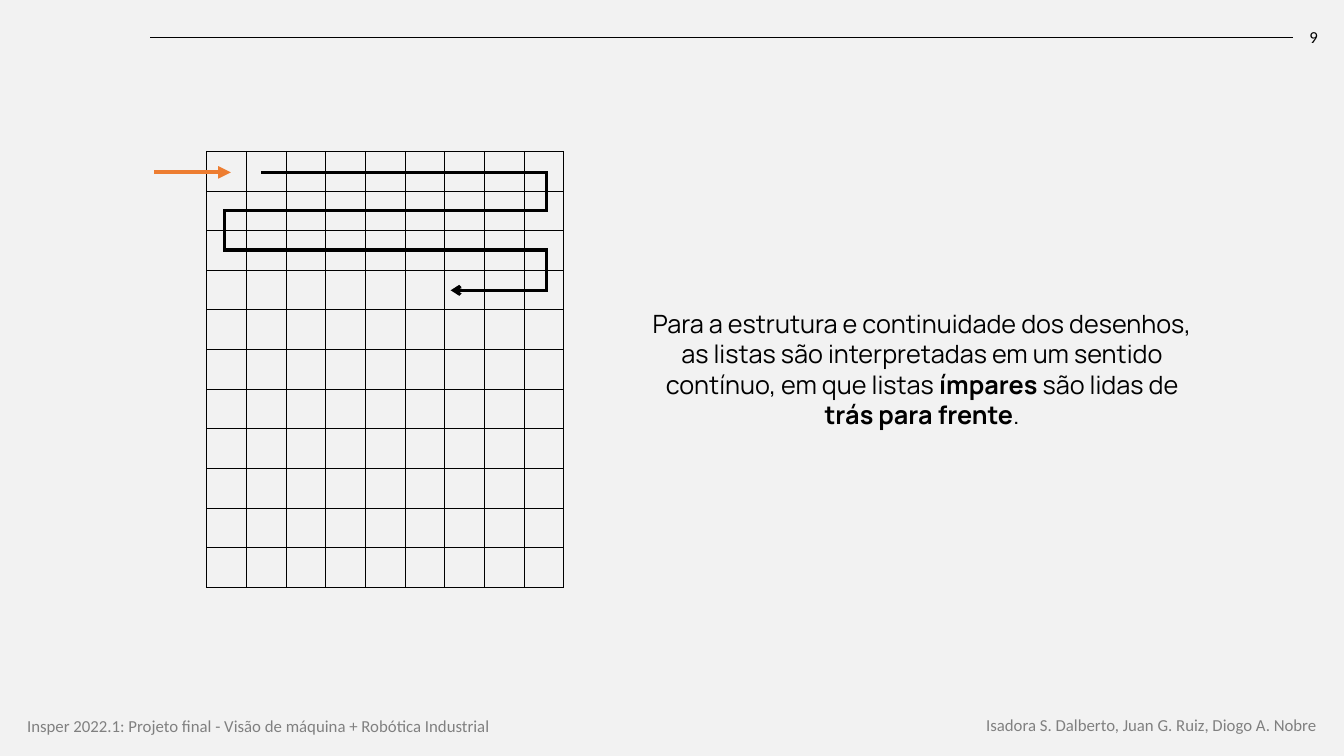
from itertools import pairwise

from lxml.etree import SubElement
from pptx import Presentation
from pptx.dml.color import RGBColor
from pptx.enum.shapes import MSO_CONNECTOR
from pptx.enum.text import MSO_ANCHOR as Anchor, MSO_AUTO_SIZE as AutoSize, PP_ALIGN as Align
from pptx.oxml.ns import qn
from pptx.util import Inches, Pt

BLACK, GRAY, ORANGE, BACKGROUND = "000000", "808080", "ED7D31", "F2F2F2"
COLUMNS, ROWS = 9, 11
READING_PATH = [
    (2.6, 1.71), (5.42, 1.71), (5.42, 2.09), (2.23, 2.09),
    (2.23, 2.48), (5.42, 2.48), (5.42, 2.88), (4.47, 2.88),
]


def color(hex_code):
    """Turn a hex string into a colour."""
    return RGBColor.from_string(hex_code)


def add_line(slide, start, end, hex_code, width, arrow=None):
    """Draw a straight line, with an optional arrowhead at its end."""
    points = [Inches(value) for value in (*start, *end)]
    line = slide.shapes.add_connector(MSO_CONNECTOR.STRAIGHT, *points)
    line.line.color.rgb = color(hex_code)
    line.line.width = Pt(width)
    outline = line.line._get_or_add_ln()
    if arrow:
        SubElement(outline, qn("a:tailEnd"), type=arrow)
    SubElement(line._element.spPr, qn("a:effectLst"))
    return outline


def add_text(slide, box, runs, size, font, hex_code, align=Align.LEFT, anchor=Anchor.TOP):
    """Write one paragraph from (text, bold) runs."""
    frame = slide.shapes.add_textbox(*[Inches(value) for value in box]).text_frame
    frame.word_wrap = True
    frame.auto_size = AutoSize.NONE
    frame.vertical_anchor = anchor
    paragraph = frame.paragraphs[0]
    paragraph.alignment = align
    for text, bold in runs:
        run = paragraph.add_run()
        run.text = text
        run.font.name = font
        run.font.size = Pt(size)
        run.font.bold = bold
        run.font.color.rgb = color(hex_code)


def add_border(cell):
    """Give a cell a thin black border on every side."""
    properties = cell._tc.get_or_add_tcPr()
    for position, side in enumerate(("a:lnL", "a:lnR", "a:lnT", "a:lnB")):
        border = properties.makeelement(qn(side), {"w": str(Pt(0.5))})
        properties.insert(position, border)
        fill = SubElement(border, qn("a:solidFill"))
        SubElement(fill, qn("a:srgbClr"), val=BLACK)


def add_grid(slide):
    """Draw the empty drawing grid."""
    area = [Inches(value) for value in (2.05, 1.5, 3.54, 4.33)]
    grid = slide.shapes.add_table(ROWS, COLUMNS, *area).table
    grid.first_row = False
    grid.horz_banding = False
    for cell in grid.iter_cells():
        cell.margin_top = cell.margin_bottom = 0
        cell.fill.background()
        add_border(cell)


def add_reading_path(slide):
    """Trace the back-and-forth reading order over the grid."""
    add_line(slide, (1.53, 1.71), (2.29, 1.71), ORANGE, 3, "triangle")
    for start, end in pairwise(READING_PATH):
        arrow = "arrow" if end == READING_PATH[-1] else None
        outline = add_line(slide, start, end, BLACK, 2.25, arrow)
        outline.set("cap", "sq")


def add_frame(slide):
    """Add the top rule, the footers and the page number."""
    add_line(slide, (1.49, 0.37), (12.82, 0.37), BLACK, 0.5)
    project = "Insper 2022.1: Projeto final - Visão de máquina + Robótica Industrial"
    authors = "Isadora S. Dalberto, Juan G. Ruiz, Diogo A. Nobre"
    add_text(slide, (0.17, 7.05, 5.48, 0.3), [(project, False)], 12, "Calibri", GRAY)
    add_text(slide, (9.31, 7.04, 3.85, 0.3), [(authors, False)], 12, "Calibri", GRAY, Align.RIGHT)
    add_text(slide, (12.82, 0.17, 0.35, 0.4), [("9", False)], 12, "Calibri", BLACK,
             Align.RIGHT, Anchor.MIDDLE)


def main():
    """Build and save the slide."""
    deck = Presentation()
    deck.slide_width, deck.slide_height = Inches(13.33), Inches(7.5)
    slide = deck.slides.add_slide(deck.slide_layouts[6])
    slide.background.fill.solid()
    slide.background.fill.fore_color.rgb = color(BACKGROUND)
    add_frame(slide)
    add_grid(slide)
    add_reading_path(slide)
    explanation = [
        ("Para a estrutura e continuidade dos desenhos, as listas são interpretadas "
         "em um sentido contínuo, em que listas ", False),
        ("ímpares", True),
        (" são lidas de ", False),
        ("trás para frente", True),
        (".", False),
    ]
    add_text(slide, (6.27, 3.01, 5.75, 1.31), explanation, 18, "Manrope", BLACK, Align.CENTER)
    deck.save("out.pptx")


if __name__ == "__main__":
    main()
